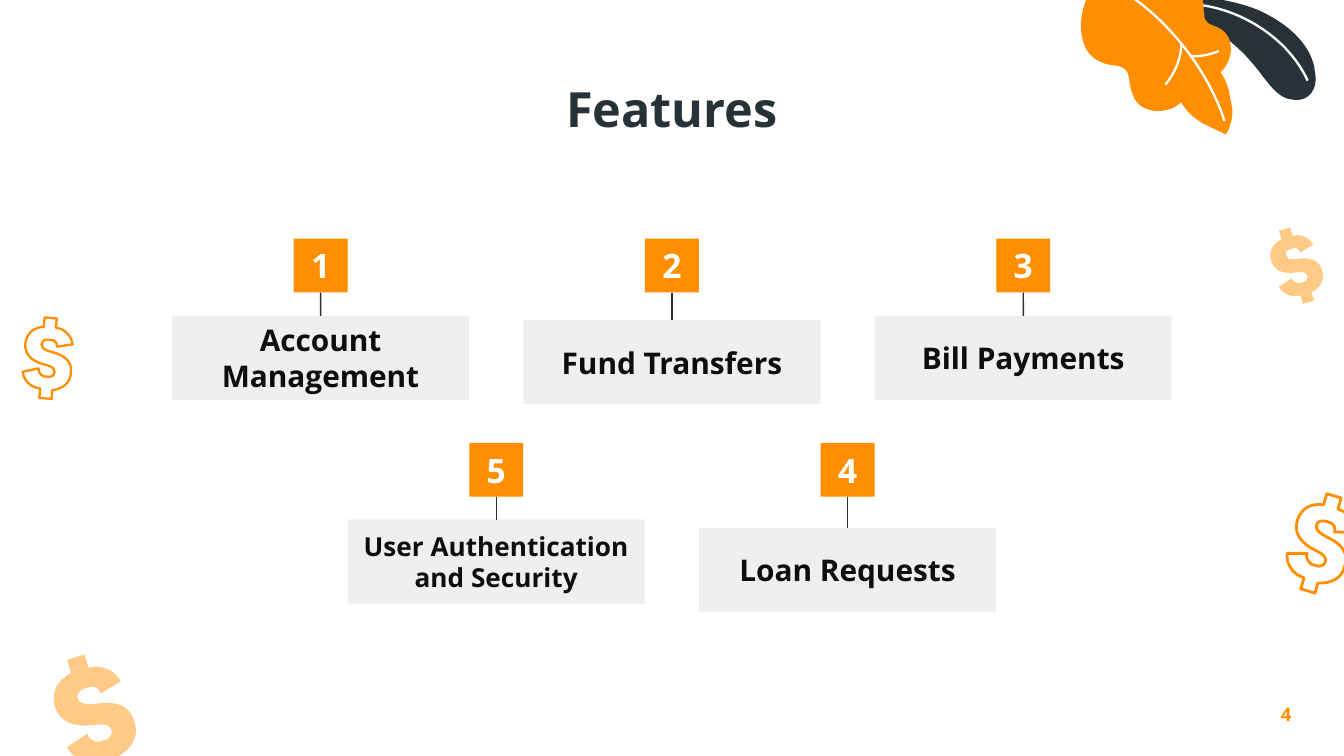
import math
from lxml import etree
from pptx import Presentation
from pptx import util as u
from pptx.dml.color import RGBColor
from pptx.enum import shapes, text
from pptx.oxml import ns

COLORS = {"orange": "FF8E00", "peach": "FFCA86", "dark": "263238",
          "card": "EFEFEF", "ink": "0D0D0D", "white": "FFFFFF"}
COLORS = {name: RGBColor.from_string(value) for name, value in COLORS.items()}
INCH = 2.54
ORIGIN = (0.71, 5.32)


def draw(outline, fill, line, width, center=ORIGIN, scale=1, angle=0):
    cosine = scale * math.cos(math.radians(angle))
    sine = scale * math.sin(math.radians(angle))
    points = []
    for segment in outline:
        for x, y in zip(segment[::2], segment[1::2]):
            x, y = x - ORIGIN[0], y - ORIGIN[1]
            points.append((u.Cm((center[0] + x * cosine - y * sine) * INCH),
                           u.Cm((center[1] + x * sine + y * cosine) * INCH)))
    builder = slide.shapes.build_freeform(*points[0])
    builder.add_line_segments(points[1:], close=points[0] == points[-1])
    shape = builder.convert_to_shape()
    lines = iter(list(shape._element.iter(ns.qn("a:lnTo"))))
    for segment in outline[1:]:
        step = next(lines)
        if len(segment) == 6:
            step.tag = ns.qn("a:cubicBezTo")
            for control in (next(lines), next(lines)):
                step.append(control[0])
                control.getparent().remove(control)
    shape.shadow.inherit = False
    if fill:
        shape.fill.solid()
        shape.fill.fore_color.rgb = COLORS[fill]
    else:
        shape.fill.background()
    if line:
        shape.line.color.rgb = COLORS[line]
        shape.line.width = u.Pt(width)
    else:
        shape.line.fill.background()


def write(shape, content, size, color):
    frame = shape.text_frame
    frame.word_wrap = True
    frame.vertical_anchor = text.MSO_ANCHOR.MIDDLE
    paragraph = frame.paragraphs[0]
    paragraph.alignment = text.PP_ALIGN.CENTER
    run = paragraph.add_run()
    run.text = content
    run.font.name = "Open Sans"
    run.font.size = u.Pt(size)
    run.font.bold = True
    run.font.color.rgb = COLORS[color]


presentation = Presentation()
presentation.slide_width = u.Cm(25.4)
presentation.slide_height = u.Cm(14.29)
slide = presentation.slides.add_slide(presentation.slide_layouts[5])

dark_leaf = [
    (9.79, 0.58), (9.79, 0.71, 9.7, 0.76, 9.61, 0.74), (9.49, 0.73, 9.41, 0.57, 9.31, 0.46),
    (9.22, 0.35, 8.99, 0.15, 8.77, 0.1), (8.76, -0.01), (8.94, -0.02),
    (9.08, -0.01, 9.22, 0.02, 9.35, 0.07), (9.56, 0.16, 9.74, 0.31, 9.78, 0.5), (9.79, 0.58)]
orange_leaf = [
    (9.17, 0.82), (9.17, 0.94, 9.12, 1, 9.12, 1), (8.95, 0.92),
    (8.82, 0.84, 8.79, 0.76, 8.79, 0.76), (8.76, 0.79, 8.72, 0.81, 8.68, 0.82),
    (8.59, 0.84, 8.47, 0.82, 8.43, 0.71), (8.38, 0.59, 8.43, 0.51, 8.31, 0.49),
    (8.2, 0.48, 8.08, 0.44, 8.05, 0.27), (8.02, 0.12, 8.09, -0.02, 8.09, -0.02),
    (8.09, -0.02, 8.69, -0.24, 8.85, -0.15), (8.92, -0.08),
    (8.96, -0.02, 8.95, 0.04, 8.96, 0.11), (8.96, 0.14, 8.97, 0.16, 9, 0.18), (9.05, 0.2),
    (9.1, 0.22, 9.13, 0.25, 9.15, 0.3), (9.16, 0.36), (9.16, 0.47, 9.08, 0.54, 9.08, 0.54),
    (9.12, 0.59, 9.14, 0.65, 9.15, 0.71), (9.17, 0.82)]
dollar = [
    (0.63, 4.87), (0.5, 4.91), (0.53, 5.01), (0.43, 5.06, 0.38, 5.14, 0.41, 5.26),
    (0.45, 5.38, 0.55, 5.4, 0.64, 5.4), (0.75, 5.39),
    (0.79, 5.39, 0.82, 5.4, 0.83, 5.43), (0.84, 5.47, 0.82, 5.5, 0.77, 5.51),
    (0.74, 5.52), (0.7, 5.52, 0.66, 5.5, 0.65, 5.46), (0.5, 5.56),
    (0.54, 5.64, 0.62, 5.67, 0.69, 5.67), (0.75, 5.66), (0.78, 5.76), (0.91, 5.72),
    (0.88, 5.63), (0.98, 5.57, 1.04, 5.48, 1, 5.37), (0.97, 5.25, 0.87, 5.23, 0.79, 5.23),
    (0.67, 5.24), (0.62, 5.24, 0.59, 5.23, 0.58, 5.2), (0.57, 5.17, 0.58, 5.14, 0.64, 5.12),
    (0.68, 5.11), (0.72, 5.11, 0.74, 5.13, 0.75, 5.16), (0.9, 5.07),
    (0.86, 5, 0.79, 4.96, 0.71, 4.96), (0.66, 4.97), (0.63, 4.87)]
dark_vein = [(8.76, 0.03), (9.15, 0.01, 9.57, 0.25, 9.73, 0.6)]
orange_veins = [
    [(8.32, -0.09), (8.76, 0.18, 9.02, 0.61, 9.11, 0.9)],
    [(8.79, 0.32), (8.79, 0.49, 8.68, 0.62, 8.67, 0.63)],
    [(9.07, 0.38), (9, 0.41, 8.93, 0.42, 8.86, 0.42)]]

draw(dark_leaf, "dark", None, 0)
draw(dark_vein, None, "white", 1.25)
draw(orange_leaf, "orange", None, 0)
for vein in orange_veins:
    draw(vein, None, "white", 1.25)

for center, scale, angle, fill, line, width in [
        (ORIGIN, 1, 0, "peach", None, 0),
        ((9.65, 1.98), 0.64, 0, "peach", None, 0),
        ((0.36, 2.67), 0.67, 22, None, "orange", 1.25),
        ((9.83, 4.05), 0.82, 33.6, None, "orange", 1.5)]:
    draw(dollar, fill, line, width, center, scale, angle)

title = slide.shapes.title
title.left, title.top, title.width, title.height = u.Cm(2), u.Cm(1.25), u.Cm(21.4), u.Cm(1.6)
write(title, "Features", 26, "dark")

card_width, card_height, badge_size, pitch = 5.61, 1.59, 1.02, 6.64
for number, label, size, column, badge_top, card_top in [
        ("1", "Account Management", 16, -1, 4.51, 5.97),
        ("2", "Fund Transfers", 16, 0, 4.51, 6.05),
        ("3", "Bill Payments", 16, 1, 4.51, 5.97),
        ("5", "User Authentication and Security", 14, -0.5, 8.37, 9.82),
        ("4", "Loan Requests", 16, 0.5, 8.37, 9.98)]:
    middle = 12.7 + column * pitch
    boxes = []
    for content, font_size, color, fill, top, width, height in [
            (label, size, "ink", "card", card_top, card_width, card_height),
            (number, 18, "white", "orange", badge_top, badge_size, badge_size)]:
        box = slide.shapes.add_shape(shapes.MSO_SHAPE.RECTANGLE, u.Cm(middle - width / 2),
                                     u.Cm(top), u.Cm(width), u.Cm(height))
        box.shadow.inherit = False
        box.fill.solid()
        box.fill.fore_color.rgb = COLORS[fill]
        box.line.fill.background()
        write(box, content, font_size, color)
        boxes.append(box)
    card, badge = boxes
    connector = slide.shapes.add_connector(
        shapes.MSO_CONNECTOR.STRAIGHT, u.Cm(middle), u.Cm(badge_top + badge_size),
        u.Cm(middle), u.Cm(card_top))
    connector.begin_connect(badge, 2)
    connector.end_connect(card, 0)
    connector.line.color.rgb = COLORS["dark"]
    connector.line.width = u.Pt(0.75)
    etree.SubElement(connector._element.spPr, ns.qn("a:effectLst"))

page_number = slide.shapes.add_textbox(u.Cm(23.55), u.Cm(12.95), u.Cm(1.52), u.Cm(1.09))
write(page_number, "4", 10, "orange")

presentation.save("out.pptx")
